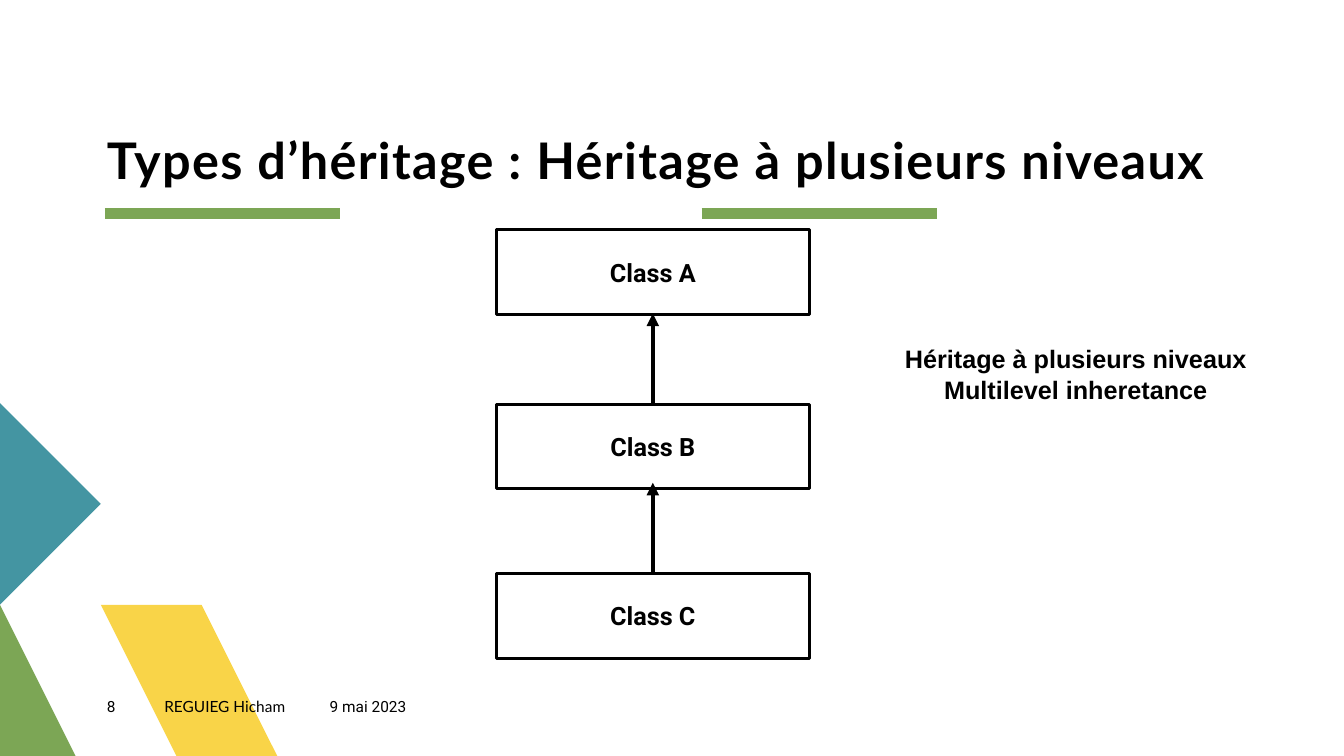
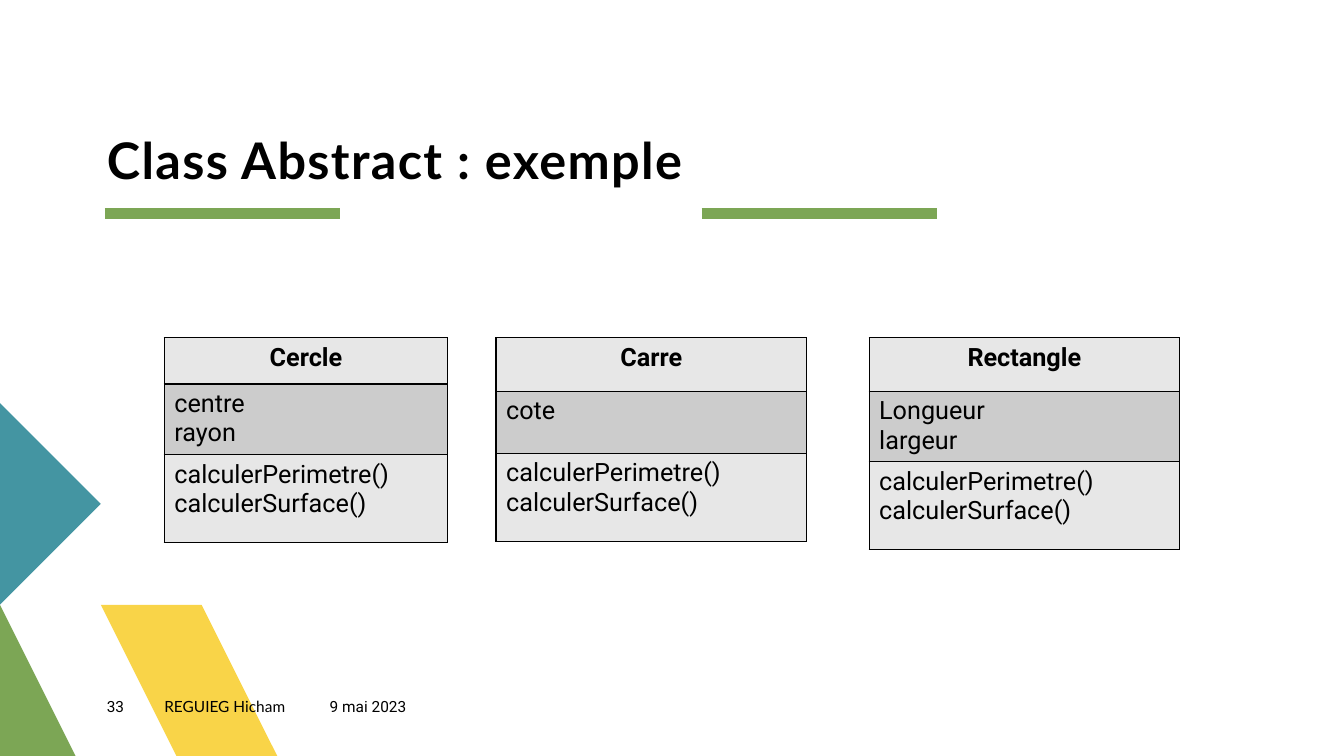
"""Build two slides on inheritance: a multilevel diagram and three class tables."""
from lxml.etree import SubElement
from pptx import Presentation
from pptx.dml.color import RGBColor
from pptx.enum.shapes import MSO_CONNECTOR, MSO_SHAPE
from pptx.enum.text import MSO_ANCHOR, PP_ALIGN
from pptx.oxml.ns import qn
from pptx.util import Emu, Inches, Pt

COLOURS = {"ink": "000000", "yellow": "F9D448", "green": "7CA655", "teal": "4495A2",
           "light": "E7E7E7", "grey": "CCCCCC"}
WIDTH, HEIGHT = 13.33, 7.5
MARGIN = 1.06

CORNER_SHAPES = [
    ("yellow", [(3.24, HEIGHT), (2.15, HEIGHT), (MARGIN, 6.41), (1.61, 5.87)]),
    ("green", [(MARGIN, HEIGHT), (0, HEIGHT), (0, HEIGHT - MARGIN)]),
    ("teal", [(0, 4.27), (MARGIN, 5.33), (0, 6.39)]),
]
RULE_STARTS, RULE_LENGTH, RULE_TOP = (1.04, 6.96), 2.33, 2.12
FOOTER_TOP, FOOTER_HEIGHT = 6.92, 0.27
AUTHOR, DATE = "REGUIEG Hicham", "9 mai 2023"

DIAGRAM = {
    "title": "Types d’héritage : Héritage à plusieurs niveaux",
    "number": "8",
    "classes": [("Class A", 2.28), ("Class B", 4.01), ("Class C", 5.69)],
    "caption": ["Héritage à plusieurs niveaux", "Multilevel inheretance"],
}
CLASS_LEFT, CLASS_WIDTH, CLASS_HEIGHT = 4.92, 3.11, 0.84
ARROW_LENGTH = 0.9

METHODS = ["calculerPerimetre()", "calculerSurface()"]
EXAMPLE = {
    "title": "Class Abstract : exemple",
    "number": "33",
    "tables": [
        {"left": 1.63, "width": 2.81, "header": 0.46, "name": "Cercle", "fields": ["centre", "rayon"]},
        {"left": 4.92, "width": 3.08, "header": 0.53, "name": "Carre", "fields": ["cote"]},
        {"left": 8.62, "width": 3.08, "header": 0.53, "name": "Rectangle", "fields": ["Longueur", "largeur"]},
    ],
}
TABLE_TOP, FIELDS_HEIGHT, METHODS_HEIGHT = 3.35, 0.62, 0.87


def colour(name):
    return RGBColor.from_string(COLOURS[name])


def write(frame, lines, size=18, font="Roboto", bold=False, align=PP_ALIGN.LEFT, spacing=None):
    """Fill a text frame with one paragraph per line."""
    for index, line in enumerate(lines):
        para = frame.paragraphs[0] if index == 0 else frame.add_paragraph()
        para.alignment = align
        span = para.add_run()
        span.text = line
        span.font.size, span.font.name, span.font.bold = Pt(size), font, bold
        span.font.color.rgb = colour("ink")
        if spacing:
            span.font._element.set("spc", str(spacing * 100))


def add_text(page, lines, left, top, width, height, anchor=MSO_ANCHOR.TOP, inset=0, wrap=True, **style):
    """Add a text box and fill it."""
    box = page.shapes.add_textbox(Inches(left), Inches(top), Inches(width), Inches(height))
    frame = box.text_frame
    frame.word_wrap, frame.vertical_anchor = wrap, anchor
    frame.margin_left = frame.margin_right = Inches(inset)
    frame.margin_top = frame.margin_bottom = Inches(inset / 2)
    write(frame, lines, **style)


def add_line(page, start, end, name, weight, arrow=False):
    """Draw a straight line, with an arrowhead at its end on request."""
    points = [Inches(value) for value in (*start, *end)]
    line = page.shapes.add_connector(MSO_CONNECTOR.STRAIGHT, *points)
    line.line.color.rgb, line.line.width = colour(name), Pt(weight)
    if arrow:
        SubElement(line.line._get_or_add_ln(), qn("a:tailEnd"), type="triangle")
    SubElement(line._element.spPr, qn("a:effectLst"))


def add_base(deck, title, number):
    """Add a slide with the shared corner, rules, title and footer."""
    page = deck.slides.add_slide(deck.slide_layouts[6])
    for name, points in CORNER_SHAPES:
        builder = page.shapes.build_freeform(*points[0], scale=Inches(1))
        builder.add_line_segments(points[1:], close=True)
        corner = builder.convert_to_shape()
        corner.shadow.inherit = False
        corner.fill.solid()
        corner.fill.fore_color.rgb = colour(name)
        corner.line.fill.background()
    for left in RULE_STARTS:
        add_line(page, (left, RULE_TOP), (left + RULE_LENGTH, RULE_TOP), "green", 8)
    add_text(page, [title], MARGIN, 0.3, 11.43, 1.58, anchor=MSO_ANCHOR.BOTTOM,
             size=36, font="Lato", bold=True, spacing=1)
    footer = [(number, 0.57, "Roboto"), (AUTHOR, 1.64, "Lato"), (DATE, 1.44, "Roboto")]
    left = MARGIN
    for text, width, font in footer:
        add_text(page, [text], left, FOOTER_TOP, width, FOOTER_HEIGHT, size=11, font=font)
        left += width
    return page


def add_diagram(deck):
    """Stack the classes and point each one to its parent."""
    page = add_base(deck, DIAGRAM["title"], DIAGRAM["number"])
    middle = CLASS_LEFT + CLASS_WIDTH / 2
    for index, (name, top) in enumerate(DIAGRAM["classes"]):
        box = page.shapes.add_shape(MSO_SHAPE.RECTANGLE, Inches(CLASS_LEFT), Inches(top),
                                    Inches(CLASS_WIDTH), Inches(CLASS_HEIGHT))
        box.shadow.inherit = False
        box.fill.background()
        box.line.color.rgb, box.line.width = colour("ink"), Pt(2.25)
        box.text_frame.vertical_anchor = MSO_ANCHOR.MIDDLE
        write(box.text_frame, [name], bold=True, align=PP_ALIGN.CENTER)
        if index:
            add_line(page, (middle, top), (middle, top - ARROW_LENGTH), "ink", 3, arrow=True)
    add_text(page, DIAGRAM["caption"], 8.86, 3.36, 3.62, 0.71, inset=0.1, wrap=False,
             font="Arial", bold=True, align=PP_ALIGN.CENTER)


def add_borders(cell):
    """Give a cell a thin outline on its four sides."""
    properties = cell._tc.get_or_add_tcPr()
    for index, side in enumerate(("lnL", "lnR", "lnT", "lnB")):
        border = properties.makeelement(qn(f"a:{side}"), {"w": str(Pt(1))})
        fill = SubElement(border, qn("a:solidFill"))
        SubElement(fill, qn("a:srgbClr"), val=COLOURS["ink"])
        properties.insert(index, border)


def add_example(deck):
    """Show each class as a table of name, fields and methods."""
    page = add_base(deck, EXAMPLE["title"], EXAMPLE["number"])
    for item in EXAMPLE["tables"]:
        rows = [
            ([item["name"]], item["header"], "light", {"bold": True, "align": PP_ALIGN.CENTER}),
            (item["fields"], FIELDS_HEIGHT, "grey", {}),
            (METHODS, METHODS_HEIGHT, "light", {}),
        ]
        height = sum(row[1] for row in rows)
        table = page.shapes.add_table(len(rows), 1, Inches(item["left"]), Inches(TABLE_TOP),
                                      Inches(item["width"]), Inches(height)).table
        table.first_row = table.horz_banding = False
        for index, (lines, row_height, fill, style) in enumerate(rows):
            table.rows[index].height = Emu(Inches(row_height))
            cell = table.cell(index, 0)
            cell.fill.solid()
            cell.fill.fore_color.rgb = colour(fill)
            add_borders(cell)
            write(cell.text_frame, lines, **style)


def main():
    deck = Presentation()
    deck.slide_width, deck.slide_height = Inches(WIDTH), Inches(HEIGHT)
    add_diagram(deck)
    add_example(deck)
    deck.save("out.pptx")


if __name__ == "__main__":
    main()
